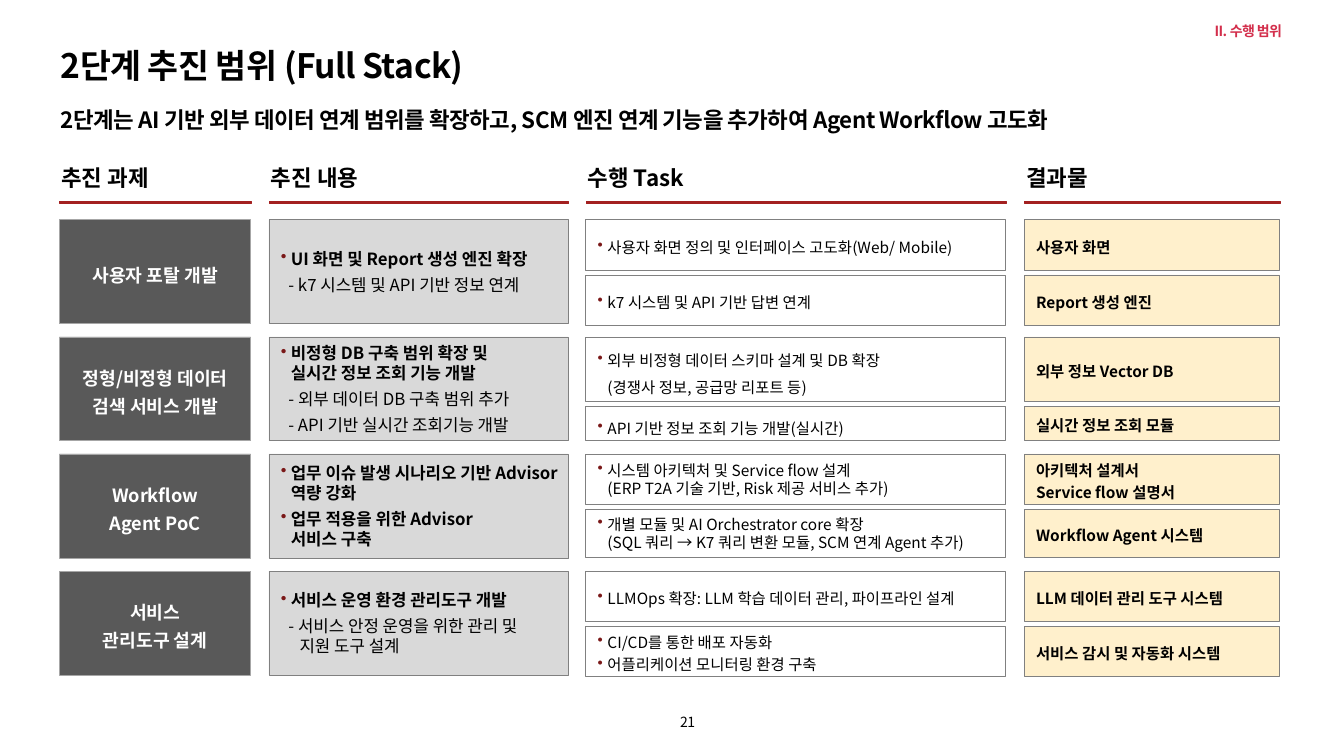
import pptx
import pptx.dml.color
import pptx.enum.shapes
import pptx.enum.text
import pptx.oxml.ns
import pptx.util
from lxml import etree

Cm, Pt = pptx.util.Cm, pptx.util.Pt
RGBColor = pptx.dml.color.RGBColor
ALIGN = pptx.enum.text.PP_ALIGN
ANCHOR = pptx.enum.text.MSO_ANCHOR
qn = pptx.oxml.ns.qn

BLACK = RGBColor(0x00, 0x00, 0x00)
WHITE = RGBColor(0xFF, 0xFF, 0xFF)
SECTION_RED = RGBColor(0xD3, 0x2E, 0x4B)
RULE_RED = RGBColor(0xA3, 0x20, 0x20)
BULLET_RED = RGBColor(0x7A, 0x18, 0x18)
DARK = RGBColor(0x59, 0x59, 0x59)
LIGHT = RGBColor(0xD9, 0xD9, 0xD9)
CREAM = RGBColor(0xFF, 0xF0, 0xCC)
EDGE = RGBColor(0x80, 0x80, 0x80)
DARK_EDGE = RGBColor(0xA6, 0xA6, 0xA6)

# Column heading, left and width in cm
COLUMNS = [("추진 과제", 1.5, 4.82), ("추진 내용", 6.78, 7.54),
           ("수행 Task", 14.76, 10.59), ("결과물", 25.81, 6.44)]
ROW_TOP, ROW_PITCH, ROW_HEIGHT, SPLIT_GAP = 5.54, 2.95, 2.62, 0.12
CARD_INSETS = (0.3, 0.13, 0.1, 0.13)

# Stage: goal, contents, then (height, line spacing, tasks, output) per step.
# A content line that starts with "- " is a sub-item.
STAGES = [
    ("사용자 포탈 개발",
     ["UI 화면 및 Report 생성 엔진 확장", "- k7 시스템 및 API 기반 정보 연계"],
     [(1.27, 1.2, ["사용자 화면 정의 및 인터페이스 고도화(Web/ Mobile)"], "사용자 화면"),
      (1.27, 1.2, ["k7 시스템 및 API 기반 답변 연계"], "Report 생성 엔진")]),
    ("정형/비정형 데이터\n검색 서비스 개발",
     ["비정형 DB 구축 범위 확장 및\n실시간 정보 조회 기능 개발",
      "- 외부 데이터 DB 구축 범위 추가", "- API 기반 실시간 조회기능 개발"],
     [(1.63, 1.5, ["외부 비정형 데이터 스키마 설계 및 DB 확장\n(경쟁사 정보, 공급망 리포트 등)"],
       "외부 정보 Vector DB"),
      (0.87, 1.5, ["API 기반 정보 조회 기능 개발(실시간)"], "실시간 정보 조회 모듈")]),
    ("Workflow\nAgent PoC",
     ["업무 이슈 발생 시나리오 기반 Advisor 역량 강화",
      "업무 적용을 위한 Advisor\n서비스 구축"],
     [(1.27, 1, ["시스템 아키텍처 및 Service flow 설계\n(ERP T2A 기술 기반, Risk 제공 서비스 추가)"],
       "아키텍처 설계서\nService flow 설명서"),
      (1.22, 1, ["개별 모듈 및 AI Orchestrator core 확장\n"
                 "(SQL 쿼리 → K7 쿼리 변환 모듈, SCM 연계 Agent 추가)"],
       "Workflow Agent 시스템")]),
    ("서비스\n관리도구 설계",
     ["서비스 운영 환경 관리도구 개발",
      "- 서비스 안정 운영을 위한 관리 및\n지원 도구 설계"],
     [(1.27, 1.2, ["LLMOps 확장: LLM 학습 데이터 관리, 파이프라인 설계"],
       "LLM 데이터 관리 도구 시스템"),
      (1.27, 1.2, ["CI/CD를 통한 배포 자동화", "어플리케이션 모니터링 환경 구축"],
       "서비스 감시 및 자동화 시스템")]),
]


class ScopeSlide:
    """The slide being built and its shared text and card style."""

    font_name = "Noto Sans CJK JP"

    def __init__(self, deck):
        self.slide = deck.slides.add_slide(deck.slide_layouts[1])

    def frame(self, shape, insets=(0, 0, 0, 0), anchor=ANCHOR.TOP):
        frame = shape.text_frame
        frame.word_wrap = True
        frame.auto_size = pptx.enum.text.MSO_AUTO_SIZE.NONE
        frame.vertical_anchor = anchor
        (frame.margin_left, frame.margin_top,
         frame.margin_right, frame.margin_bottom) = map(Cm, insets)
        return frame

    def paragraph(self, frame, text, size, color=BLACK, bold=False, align=ALIGN.LEFT,
                  line=1.0, after=0, tracking=0, bullet=False, indent=(0, 0)):
        """Write one paragraph; a newline in the text is a line break."""
        first = frame.paragraphs[0]
        paragraph = frame.add_paragraph() if first.runs else first
        paragraph.alignment = align
        paragraph.line_spacing = line
        paragraph.space_before = Pt(0)
        paragraph.space_after = Pt(after)
        props = paragraph._p.get_or_add_pPr()
        margin, hang = (0.25, -0.25) if bullet else indent
        props.set("marL", str(Cm(margin)))
        props.set("indent", str(Cm(hang)))
        if bullet:
            tint = etree.SubElement(props, qn("a:buClr"))
            etree.SubElement(tint, qn("a:srgbClr"), val=str(BULLET_RED))
            etree.SubElement(props, qn("a:buChar"), char="•")
        else:
            etree.SubElement(props, qn("a:buNone"))
        for number, piece in enumerate(text.split("\n")):
            if number:
                paragraph.add_line_break()
            run = paragraph.add_run()
            run.text = piece
            run.font.size = Pt(size)
            run.font.bold = bold
            run.font.color.rgb = color
            run.font.name = self.font_name
            run_props = run._r.get_or_add_rPr()
            etree.SubElement(run_props, qn("a:ea"), typeface=self.font_name)
            if tracking:
                run_props.set("spc", str(round(tracking * 100)))

    def placeholder(self, index, place, text, size, **style):
        holder = self.slide.placeholders[index]
        holder.left, holder.top, holder.width, holder.height = map(Cm, place)
        self.paragraph(self.frame(holder), text, size, bold=True, **style)

    def label(self, place, text, size, anchor=ANCHOR.TOP, **style):
        box = self.slide.shapes.add_textbox(*map(Cm, place))
        self.paragraph(self.frame(box, anchor=anchor), text, size, **style)

    def box(self, place, fill, edge=EDGE, weight=0.5):
        box = self.slide.shapes.add_shape(
            pptx.enum.shapes.MSO_SHAPE.RECTANGLE, *map(Cm, place))
        box.shadow.inherit = False
        box.fill.solid()
        box.fill.fore_color.rgb = fill
        box.line.color.rgb = edge
        box.line.width = Pt(weight)
        return box

    def card(self, place, fill, edge=EDGE, insets=CARD_INSETS):
        return self.frame(self.box(place, fill, edge), insets, ANCHOR.MIDDLE)

    def heading(self, text, left, width):
        self.box((left + 0.01, 5.08, width, 0.05), RULE_RED, RULE_RED, 0.75)
        self.label((left + 0.05, 4.14, width, 0.69), text, 16, bold=True)

    def stage(self, top, goal, contents, steps):
        goal_at, content_at, task_at, output_at = [column[1:] for column in COLUMNS]

        def place(column, y, height):
            return column[0], y, column[1], height

        goal_card = self.card(place(goal_at, top, ROW_HEIGHT), DARK, DARK_EDGE,
                              (0.1, 0.2, 0.1, 0.2))
        self.paragraph(goal_card, goal, 13, WHITE, True, ALIGN.CENTER, 1.3)

        content_card = self.card(place(content_at, top, ROW_HEIGHT), LIGHT)
        for content in contents:
            main = not content.startswith("- ")
            self.paragraph(content_card, content, 12, bold=main, after=4,
                           bullet=main, indent=(0.47, -0.28))

        for height, line, tasks, output in steps:
            task_card = self.card(place(task_at, top, height), WHITE)
            for task in tasks:
                self.paragraph(task_card, task, 11, line=line, bullet=True)
            output_card = self.card(place(output_at, top, height), CREAM)
            self.paragraph(output_card, output, 11, bold=True, line=1.2)
            top += height + SPLIT_GAP


def main():
    deck = pptx.Presentation()
    deck.slide_width, deck.slide_height = Cm(33.87), Cm(19.05)
    scope = ScopeSlide(deck)
    scope.placeholder(0, (1.52, 1.12, 30.81, 1.37), "2단계 추진 범위 (Full Stack)",
                      24, tracking=-0.4)
    scope.placeholder(1, (1.52, 2.54, 30.81, 1.19),
                      "2단계는 AI 기반 외부 데이터 연계 범위를 확장하고, "
                      "SCM 엔진 연계 기능을 추가하여 Agent Workflow 고도화",
                      16, line=1.2, tracking=-0.3)
    scope.label((24.79, 0.56, 7.52, 0.25), "II. 수행 범위", 10, color=SECTION_RED,
                bold=True, align=ALIGN.RIGHT, tracking=-0.4)
    scope.label((7.92, 17.98, 9.6, 0.43), "21", 10, anchor=ANCHOR.BOTTOM,
                align=ALIGN.RIGHT, tracking=-0.3)
    for column in COLUMNS:
        scope.heading(*column)
    for number, stage in enumerate(STAGES):
        scope.stage(ROW_TOP + number * ROW_PITCH, *stage)
    deck.save("out.pptx")


if __name__ == "__main__":
    main()
